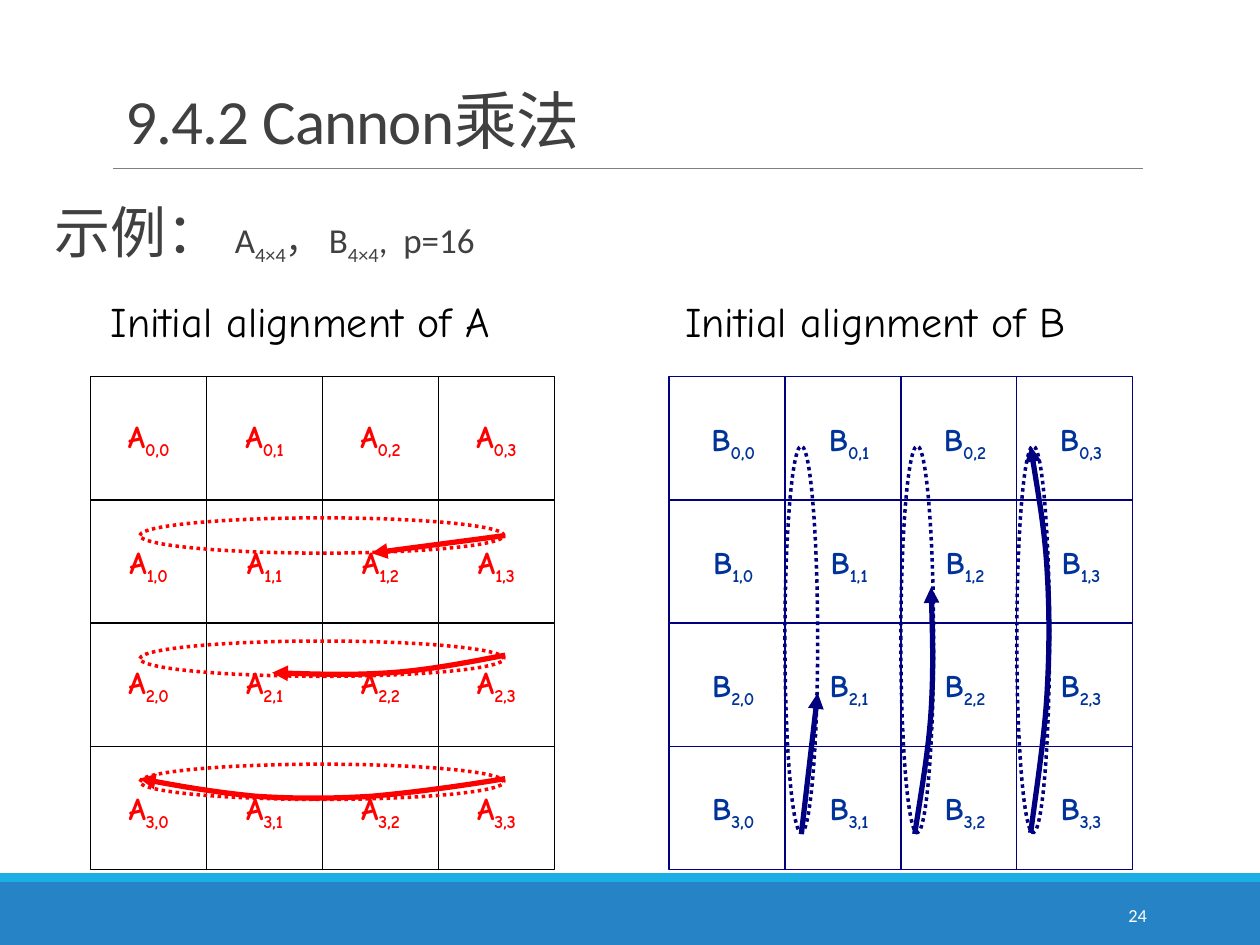
from pptx import Presentation
from pptx.dml.color import RGBColor
from pptx.enum.dml import MSO_LINE
from pptx.enum.shapes import MSO_CONNECTOR, MSO_SHAPE
from pptx.enum.text import MSO_ANCHOR, PP_ALIGN
from pptx.oxml.ns import qn
from pptx.util import Inches, Pt
from lxml.etree import SubElement

COLORS = {"bar": "2683C6", "stripe": "1CADE4", "rule": "808080", "text": "404040",
          "black": "000000", "white": "FFFFFF", "red": "FF0000",
          "navy": "000080", "blue": "003399"}
LATIN, CJK, COMIC = "Calibri", "Noto Sans CJK JP", "Comic Neue"

# Content: (text, size, font, is subscript)
EXAMPLE = [("示例： ", 32, CJK, False), ("A", 20, LATIN, False),
           ("4×4", 20, LATIN, True), ("， B", 20, LATIN, False),
           ("4×4", 20, LATIN, True), (",  p=16", 20, LATIN, False)]

COUNT, GRID_TOP, CELL_WIDTH, CELL_HEIGHT = 4, 2.99, 0.92, 3.91 / 4
MATRICES = [
    {"name": "A", "left": 0.72, "heading": (0.78, 3.85), "line": "black", "text": "red",
     "right_inset": 0.1, "bottom_insets": (0.05, 0)},
    {"name": "B", "left": 5.31, "heading": (5.34, 3.95), "line": "navy", "text": "blue",
     "right_inset": 0, "bottom_insets": (0, 0)},
]

# Shift loops: first box, step to the next one, and the arrow on each loop.
# Two points make a straight arrow; more points are Bezier control points.
LOOPS = [
    {"color": "red", "box": (1.11, 4.11, 2.89, 0.28), "step": (0, CELL_HEIGHT), "arrows": [
        [(4.01, 4.25), (2.95, 4.39)],
        [(4.01, 5.2), (3.7, 5.26), (3.39, 5.32), (3.09, 5.34),
         (2.78, 5.36), (2.47, 5.35), (2.16, 5.34)],
        [(4.01, 6.18), (3.65, 6.24), (3.28, 6.29), (2.95, 6.32), (2.63, 6.34),
         (2.34, 6.34), (2.03, 6.32), (1.73, 6.29), (1.42, 6.24), (1.11, 6.18)]]},
    {"color": "navy", "box": (6.23, 3.54, 0.26, 3.07), "step": (CELL_WIDTH, 0), "arrows": [
        [(6.36, 6.62), (6.49, 5.5)],
        [(7.26, 6.62), (7.31, 6.29), (7.37, 5.96), (7.39, 5.64),
         (7.41, 5.31), (7.4, 4.99), (7.39, 4.66)],
        [(8.18, 6.61), (8.23, 6.23), (8.29, 5.85), (8.31, 5.5), (8.33, 5.15),
         (8.33, 4.85), (8.31, 4.52), (8.29, 4.19), (8.23, 3.87), (8.18, 3.54)]]},
]

deck = Presentation()
deck.slide_width, deck.slide_height = Inches(10), Inches(7.5)
page = deck.slides.add_slide(deck.slide_layouts[6])


def color(name):
    return RGBColor.from_string(COLORS[name])


def add_span(para, text, size, font, ink, bold=False, subscript=False):
    span = para.add_run()
    span.text = text
    span.font.size, span.font.name, span.font.bold = Pt(size), font, bold
    span.font.color.rgb = color(ink)
    properties = span.font._element
    SubElement(properties, qn("a:ea")).set("typeface", CJK)
    if subscript:
        properties.set("baseline", "-25000")
    return span


def add_text_box(left, top, width, height, anchor=MSO_ANCHOR.TOP):
    box = page.shapes.add_textbox(*map(Inches, (left, top, width, height)))
    box.text_frame.word_wrap = True
    box.text_frame.vertical_anchor = anchor
    return box.text_frame


def add_shape(kind, box, fill=None, line=None, width=0.75):
    shape = page.shapes.add_shape(kind, *map(Inches, box))
    shape.shadow.inherit = False
    if fill:
        shape.fill.solid()
        shape.fill.fore_color.rgb = color(fill)
    else:
        shape.fill.background()
    if line:
        shape.line.color.rgb, shape.line.width = color(line), Pt(width)
    else:
        shape.line.fill.background()
    return shape


def add_line(start, end, ink, width):
    line = page.shapes.add_connector(MSO_CONNECTOR.STRAIGHT, *map(Inches, start + end))
    line.line.color.rgb, line.line.width = color(ink), Pt(width)
    SubElement(line._element.spPr, qn("a:effectLst"))
    return line


def add_curve(points, ink, width):
    corners = [(Inches(x), Inches(y)) for x, y in points]
    builder = page.shapes.build_freeform(*corners[0])
    builder.add_line_segments(corners[1:], close=False)
    curve = builder.convert_to_shape()
    curve.shadow.inherit = False
    curve.fill.background()
    curve.line.color.rgb, curve.line.width = color(ink), Pt(width)
    # Turn every three line segments into one Bezier segment
    outline = next(curve._element.iter(qn("a:pathLst")))[0]
    segments = outline.findall(qn("a:lnTo"))
    for first in range(0, len(segments), 3):
        bezier = SubElement(outline, qn("a:cubicBezTo"))
        for segment in segments[first:first + 3]:
            bezier.append(segment[0])
            outline.remove(segment)
    return curve


# Footer bars and title rule
add_shape(MSO_SHAPE.RECTANGLE, (0, 7, 10, 0.5), fill="bar")
add_shape(MSO_SHAPE.RECTANGLE, (0, 6.93, 10, 0.07), fill="stripe")
add_line((0.9, 1.34), (9.07, 1.34), "rule", 0.5)

# Title
para = add_text_box(0.9, 0.31, 8.25, 0.99, MSO_ANCHOR.BOTTOM).paragraphs[0]
para.line_spacing = 0.85
title = add_span(para, "9.4.2 Cannon乘法", 36, LATIN, "text")
title.font._element.set("spc", "-50")

# Page number
para = add_text_box(8.12, 7.06, 1.08, 0.4, MSO_ANCHOR.MIDDLE).paragraphs[0]
para.alignment = PP_ALIGN.RIGHT
add_span(para, "24", 10.5, LATIN, "white")

# Matrix grids and headings
for matrix in MATRICES:
    for column in range(COUNT):
        for row in range(COUNT):
            cell = add_shape(MSO_SHAPE.RECTANGLE,
                             (matrix["left"] + column * CELL_WIDTH,
                              GRID_TOP + row * CELL_HEIGHT, CELL_WIDTH, CELL_HEIGHT),
                             line=matrix["line"])
            frame = cell.text_frame
            frame.word_wrap = False
            frame.vertical_anchor = MSO_ANCHOR.MIDDLE
            frame.margin_right = Inches(matrix["right_inset"])
            frame.margin_bottom = Inches(matrix["bottom_insets"][row % 2])
            para = frame.paragraphs[0]
            para.alignment = PP_ALIGN.CENTER
            add_span(para, matrix["name"], 18, COMIC, matrix["text"], bold=True)
            add_span(para, f"{row},{column}", 18, COMIC, matrix["text"],
                     bold=True, subscript=True)
    left, width = matrix["heading"]
    para = add_text_box(left, 2.3, width, 0.5).paragraphs[0]
    add_span(para, f"Initial alignment of {matrix['name']}", 24, COMIC, "black")

# Dotted loops with their arrows
for loop in LOOPS:
    left, top, width, height = loop["box"]
    step_x, step_y = loop["step"]
    for index, points in enumerate(loop["arrows"]):
        ellipse = add_shape(MSO_SHAPE.OVAL,
                            (left + index * step_x, top + index * step_y, width, height),
                            line=loop["color"], width=2)
        ellipse.line.dash_style = MSO_LINE.ROUND_DOT
        draw = add_line if len(points) == 2 else lambda *ends_and_style: None
        if len(points) == 2:
            arrow = add_line(*points, loop["color"], 3)
        else:
            arrow = add_curve(points, loop["color"], 3)
        SubElement(arrow.line._get_or_add_ln(), qn("a:tailEnd")).set("type", "triangle")

# Example line
frame = add_text_box(0.26, 1.43, 8.9, 1.47)
frame.margin_left = frame.margin_right = Inches(0.07)
frame.margin_top = frame.margin_bottom = Inches(0.03)
para = frame.paragraphs[0]
para.line_spacing, para.space_before, para.space_after = 1.2, Pt(12), Pt(2)
para._element.get_or_add_pPr().set("marL", str(Inches(0.1)))
for text, size, font, subscript in EXAMPLE:
    add_span(para, text, size, font, "text", subscript=subscript)

deck.save("out.pptx")
